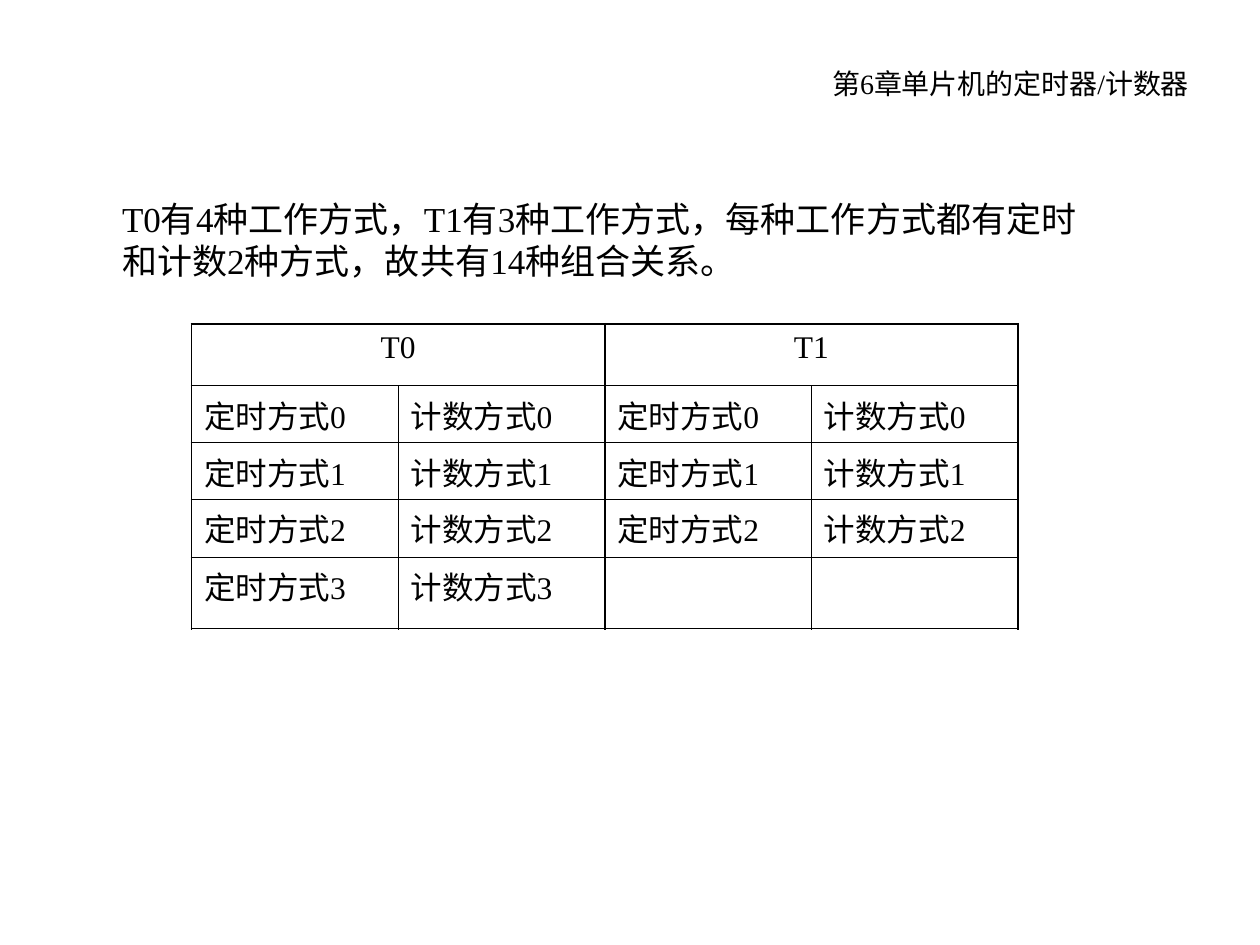
from lxml import etree
from pptx import Presentation
from pptx import util as u
from pptx.dml.color import RGBColor
from pptx.enum import text
from pptx.oxml import ns

BLACK = RGBColor(0, 0, 0)
FONT = "Times New Roman"
THIN, THICK = u.Pt(0.45), u.Pt(1.08)


class SlideBuilder:
    def __init__(self, page):
        self.page = page

    def style(self, frame, size, align):
        for para in frame.paragraphs:
            para.alignment = align
            para.font.size = u.Pt(size)
            for span in para.runs:
                span.font.size = u.Pt(size)
                span.font.name = FONT
                span.font.color.rgb = BLACK

    def text_box(self, left, top, width, height, words, size,
                 align=text.PP_ALIGN.LEFT):
        box = self.page.shapes.add_textbox(
            u.Inches(left), u.Inches(top), u.Inches(width), u.Inches(height))
        frame = box.text_frame
        frame.word_wrap = True
        frame.auto_size = text.MSO_AUTO_SIZE.SHAPE_TO_FIT_TEXT
        frame.text = words
        self.style(frame, size, align)

    def border(self, cell, side, width):
        props = cell._tc.get_or_add_tcPr()
        line = etree.SubElement(props, ns.qn(f"a:ln{side}"), w=str(width))
        fill = etree.SubElement(line, ns.qn("a:solidFill"))
        etree.SubElement(fill, ns.qn("a:srgbClr"), val=str(BLACK))

    def table(self, left, top, column_width, row_heights, rows, size):
        columns = len(rows[0])
        grid = self.page.shapes.add_table(
            len(rows), columns, u.Inches(left), u.Inches(top),
            u.Inches(column_width * columns), u.Inches(sum(row_heights))).table
        grid.first_row = grid.horz_banding = False
        for column in grid.columns:
            column.width = u.Inches(column_width)
        for row, height in zip(grid.rows, row_heights):
            row.height = u.Inches(height)

        # Each timer's pair of columns shares one header cell
        for start in range(0, columns, 2):
            grid.cell(0, start).merge(grid.cell(0, start + 1))

        last = len(rows) - 1
        for r, row in enumerate(rows):
            for c, words in enumerate(row):
                cell = grid.cell(r, c)
                if words:
                    cell.text_frame.text = words
                align = text.PP_ALIGN.LEFT if r else text.PP_ALIGN.CENTER
                self.style(cell.text_frame, size, align)
                # Thick lines frame each pair of columns
                thick_left = r == 0 or c % 2 == 0
                thick_right = r == 0 or c % 2 == 1
                for side, thick in (("L", thick_left), ("R", thick_right),
                                    ("T", r == 0), ("B", r == last)):
                    self.border(cell, side, THICK if thick else THIN)
                cell.fill.background()


def main():
    deck = Presentation()
    deck.slide_width, deck.slide_height = u.Inches(10), u.Inches(7.5)
    builder = SlideBuilder(deck.slides.add_slide(deck.slide_layouts[6]))

    # Chapter heading
    builder.text_box(6.33, 0.48, 3.38, 0.37, "第6章单片机的定时器/计数器", 16,
                     text.PP_ALIGN.CENTER)

    # Table of working modes
    rows = [["T0", "", "T1", ""]]
    for mode in range(4):
        pair = [f"定时方式{mode}", f"计数方式{mode}"]
        rows.append(pair + (pair if mode < 3 else ["", ""]))
    builder.table(1.52, 2.57, 1.64, [0.49, 0.45, 0.45, 0.46, 0.57], rows, 18)

    # Summary
    builder.text_box(
        0.87, 1.52, 8.02, 0.77,
        "T0有4种工作方式，T1有3种工作方式，每种工作方式都有定时和计数2种方式，"
        "故共有14种组合关系。", 20)

    deck.save("out.pptx")


if __name__ == "__main__":
    main()
